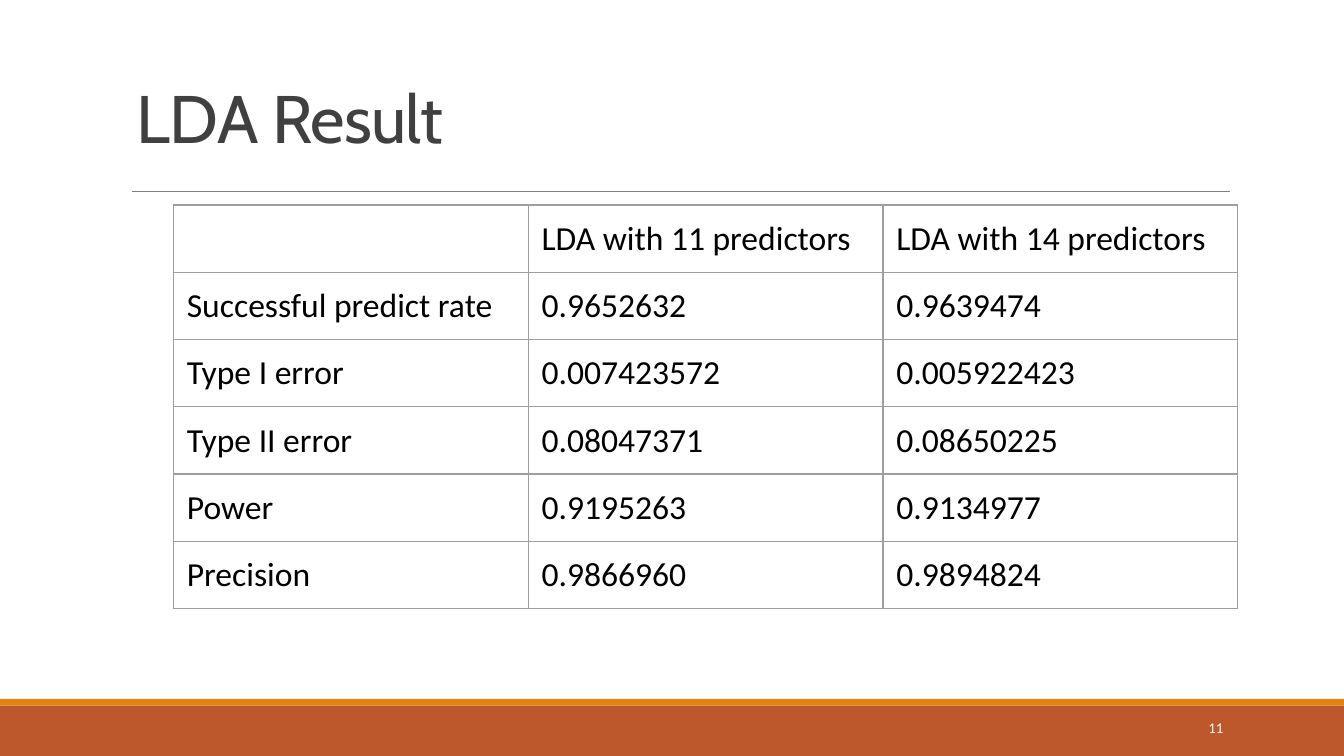
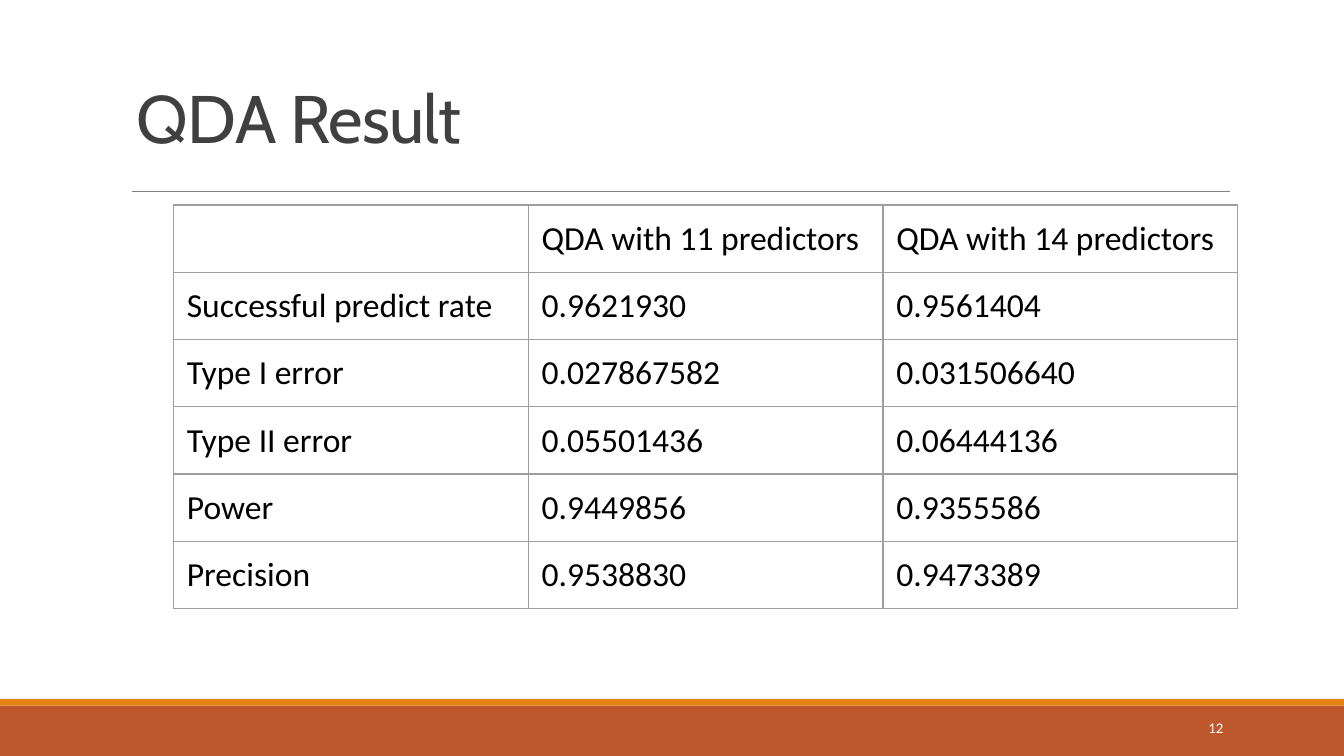
from lxml import etree
from pptx import Presentation
from pptx.dml.color import RGBColor
from pptx.enum.shapes import MSO_CONNECTOR, MSO_SHAPE
from pptx.enum.text import MSO_ANCHOR, PP_ALIGN
from pptx.oxml.ns import qn
from pptx.util import Inches, Pt

RECTANGLE = MSO_SHAPE.RECTANGLE
STRAIGHT = MSO_CONNECTOR.STRAIGHT
TOP, MIDDLE = MSO_ANCHOR.TOP, MSO_ANCHOR.MIDDLE
LEFT, RIGHT = PP_ALIGN.LEFT, PP_ALIGN.RIGHT

COLOURS = {
    "footer": "BD582C",
    "accent": "E48312",
    "rule": "808080",
    "title": "404040",
    "border": "9E9E9E",
    "body": "000000",
    "number": "FFFFFF",
}
FONTS = {
    "title": {"name": "Cabin", "size": Pt(36)},
    "body": {"name": "Calibri", "size": Pt(18)},
    "number": {"name": "Calibri", "size": Pt(7.9)},
}
GRID_COLUMNS, GRID_ROWS = 100, 56.25
MEASURES = ["Successful predict rate", "Type I error", "Type II error", "Power", "Precision"]
RESULTS = {
    "LDA": [
        ("0.9652632", "0.9639474"),
        ("0.007423572", "0.005922423"),
        ("0.08047371", "0.08650225"),
        ("0.9195263", "0.9134977"),
        ("0.9866960", "0.9894824"),
    ],
    "QDA": [
        ("0.9621930", "0.9561404"),
        ("0.027867582", "0.031506640"),
        ("0.05501436", "0.06444136"),
        ("0.9449856", "0.9355586"),
        ("0.9538830", "0.9473389"),
    ],
}
FIRST_PAGE_NUMBER = 11


def colour(name):
    return RGBColor.from_string(COLOURS[name])


def assign(target, values):
    for name, value in values.items():
        setattr(target, name, value)


class ResultDeck:
    def __init__(self):
        self.deck = Presentation()
        assign(self.deck, {"slide_width": Inches(10), "slide_height": Inches(5.625)})
        self.page = None

    def place(self, column, row, width, height):
        across = self.deck.slide_width / GRID_COLUMNS
        down = self.deck.slide_height / GRID_ROWS
        return [round(n) for n in (column * across, row * down, width * across, height * down)]

    def add_page(self):
        self.page = self.deck.slides.add_slide(self.deck.slide_layouts[6])

    def add_band(self, fill, *area):
        band = self.page.shapes.add_shape(RECTANGLE, *self.place(*area))
        band.shadow.inherit = False
        band.fill.solid()
        band.fill.fore_color.rgb = colour(fill)
        band.line.fill.background()

    def add_rule(self, column, row, width):
        left, top, length, _ = self.place(column, row, width, 0)
        rule = self.page.shapes.add_connector(STRAIGHT, left, top, left + length, top)
        rule.line.color.rgb = colour("rule")
        rule.line.width = Pt(0.5)
        etree.SubElement(rule._element.spPr, qn("a:effectLst"))

    def add_span(self, para, text, style):
        span = para.add_run()
        span.text = text
        assign(span.font, FONTS[style])
        span.font.color.rgb = colour(style)
        return span

    def add_text(self, text, style, area, inset, anchor=TOP, align=LEFT, spacing=1.0):
        box = self.page.shapes.add_textbox(*self.place(*area))
        assign(box.text_frame, {
            "word_wrap": True,
            "vertical_anchor": anchor,
            "margin_left": Inches(0.1),
            "margin_right": Inches(0.1),
            "margin_top": Inches(inset),
            "margin_bottom": Inches(inset),
        })
        para = box.text_frame.paragraphs[0]
        assign(para, {"alignment": align, "line_spacing": spacing})
        return self.add_span(para, text, style)

    def add_title(self, text):
        span = self.add_text(text, "title", (9.2, 5.3, 85, 7.7), 0.1, MIDDLE, spacing=0.85)
        span.font._element.set("spc", "-40")

    def add_frame(self, number):
        self.add_band("footer", 0, 52.5, GRID_COLUMNS, 3.75)
        self.add_band("accent", 0, 52, GRID_COLUMNS, 0.5)
        self.add_rule(9.8, 14.25, 81.7)
        self.add_text(str(number), "number", (81.2, 53, 10.8, 3), 0.05, align=RIGHT)

    def format_cell(self, cell):
        assign(cell, dict.fromkeys(
            ("margin_left", "margin_right", "margin_top", "margin_bottom"), Inches(0.1)))
        properties = cell._tc.get_or_add_tcPr()
        for side in ("a:lnL", "a:lnR", "a:lnT", "a:lnB"):
            border = etree.SubElement(properties, qn(side), w=str(Pt(0.75)))
            fill = etree.SubElement(border, qn("a:solidFill"))
            etree.SubElement(fill, qn("a:srgbClr"), val=COLOURS["border"])
        cell.fill.background()

    def add_table(self, rows, *area):
        table = self.page.shapes.add_table(len(rows), len(rows[0]), *self.place(*area)).table
        assign(table, {"first_row": False, "horz_banding": False})
        for r, row in enumerate(rows):
            for c, text in enumerate(row):
                cell = table.cell(r, c)
                self.format_cell(cell)
                if text:
                    self.add_span(cell.text_frame.paragraphs[0], text, "body")


def main():
    results = ResultDeck()
    for number, (method, scores) in enumerate(RESULTS.items(), FIRST_PAGE_NUMBER):
        header = ("", f"{method} with 11 predictors", f"{method} with 14 predictors")
        rows = [header] + [(measure, *pair) for measure, pair in zip(MEASURES, scores)]
        results.add_page()
        results.add_frame(number)
        results.add_title(f"{method} Result")
        results.add_table(rows, 12.9, 15.25, 79.2, 25.5)
    results.deck.save("out.pptx")


if __name__ == "__main__":
    main()
